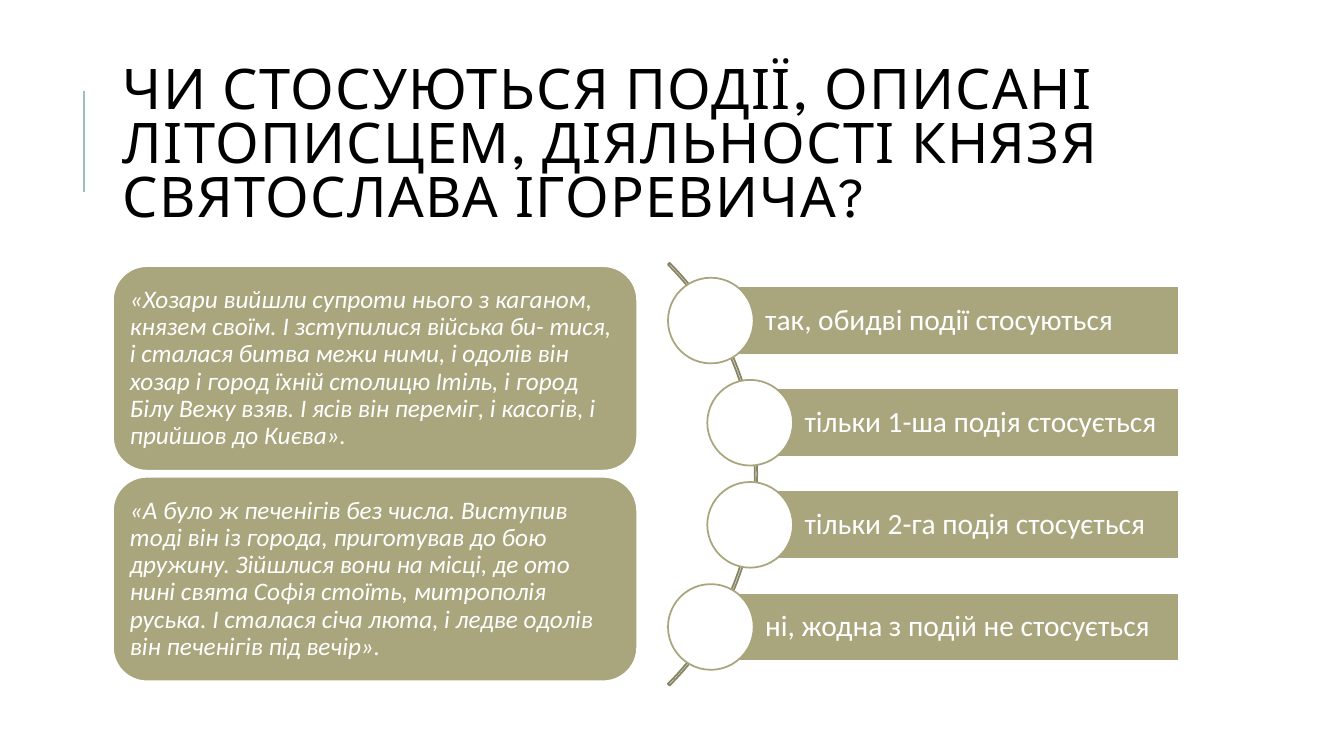
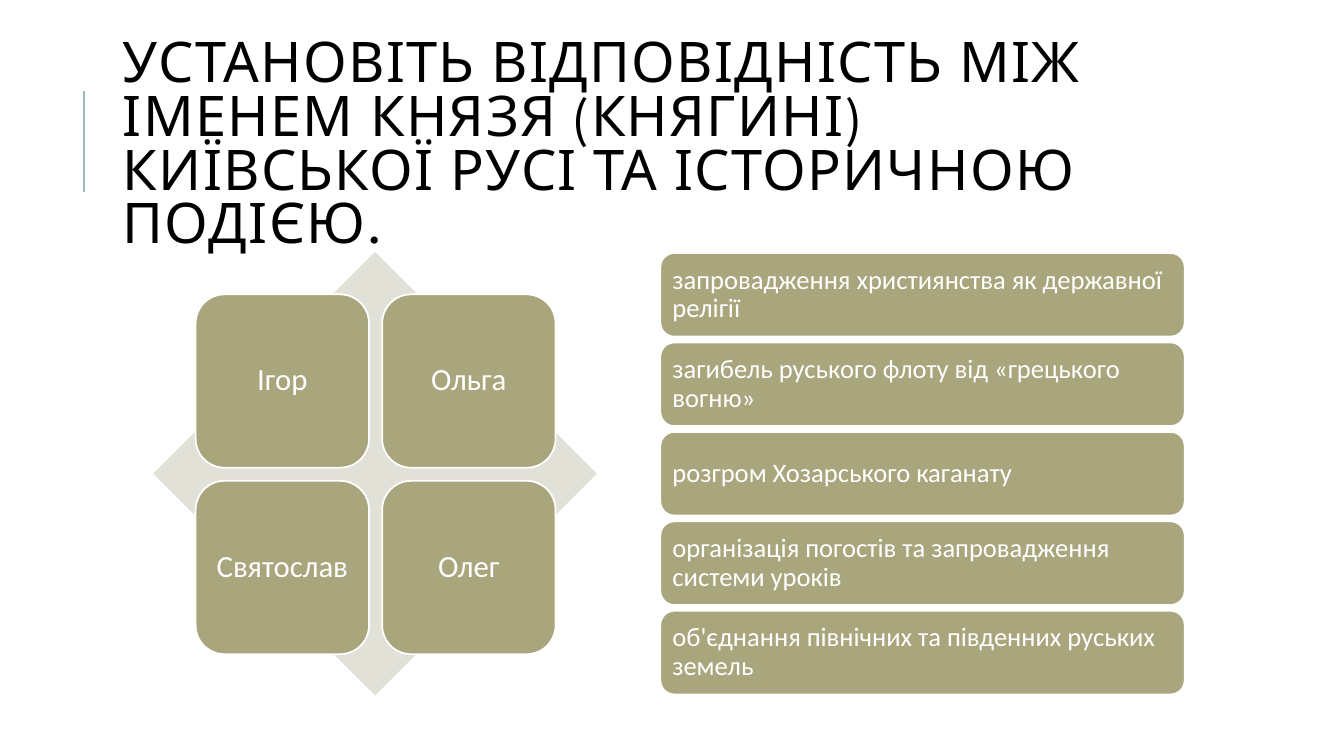
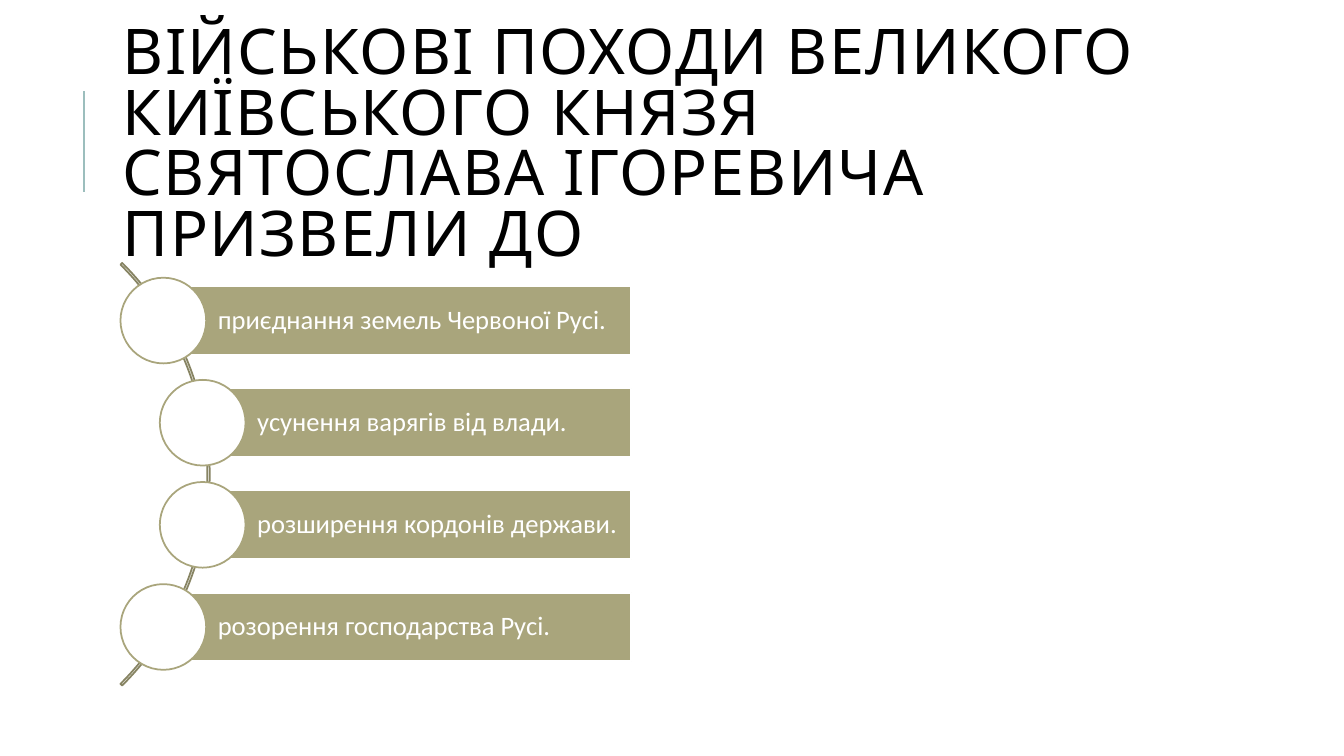
"""Build three history quiz slides about the princes of Kyivan Rus."""

from dataclasses import dataclass
from typing import Optional

from lxml.etree import SubElement
from pptx import Presentation
from pptx.dml.color import RGBColor
from pptx.enum.shapes import MSO_CONNECTOR as Connector
from pptx.enum.shapes import MSO_SHAPE as Shape
from pptx.enum.text import MSO_ANCHOR as Anchor
from pptx.enum.text import PP_ALIGN as Align
from pptx.oxml.ns import qn
from pptx.util import Inches, Pt


@dataclass(frozen=True)
class Theme:
    olive: RGBColor = RGBColor(0xA9, 0xA5, 0x7C)
    dark_olive: RGBColor = RGBColor(0x87, 0x84, 0x63)
    pale_olive: RGBColor = RGBColor(0xE2, 0xE1, 0xD7)
    teal: RGBColor = RGBColor(0x9C, 0xBE, 0xBD)
    white: RGBColor = RGBColor(0xFF, 0xFF, 0xFF)
    black: RGBColor = RGBColor(0, 0, 0)
    title_font: str = "League Spartan"
    body_font: str = "Calibri"
    title_size: int = 40
    large_title_size: int = 45
    quote_size: int = 18
    event_size: int = 19
    answer_size: int = 21
    small_answer_size: int = 19
    name_size: int = 22
    outline: float = 1.25
    accent: float = 1.5


THEME = Theme()


@dataclass(frozen=True)
class Box:
    left: float
    top: float
    width: float
    height: float

    def lengths(self) -> tuple:
        return tuple(Inches(v) for v in (self.left, self.top, self.width, self.height))


@dataclass(frozen=True)
class Label:
    text: str
    size: int
    inset: float
    left_inset: Optional[float] = None
    align: Align = Align.LEFT
    italic: bool = False


def spread(first: float, last: float, count: int) -> list[float]:
    return [first + (last - first) * i / (count - 1) for i in range(count)]


def write_text(shape, label: Label, font_name: str, color: RGBColor, spacing: float):
    frame = shape.text_frame
    frame.word_wrap = True
    frame.vertical_anchor = Anchor.MIDDLE
    frame.text = label.text
    paragraph = frame.paragraphs[0]
    paragraph.alignment = label.align
    paragraph.line_spacing = spacing
    run = paragraph.runs[0]
    run.font.name = font_name
    run.font.size = Pt(label.size)
    run.font.italic = label.italic
    run.font.color.rgb = color
    return run


def draw_shape(slide, kind: Shape, box: Box, fill: Optional[RGBColor],
               line: Optional[RGBColor]):
    shape = slide.shapes.add_shape(kind, *box.lengths())
    shape.shadow.inherit = False
    if fill is None:
        shape.fill.background()
    else:
        shape.fill.solid()
        shape.fill.fore_color.rgb = fill
    if line is None:
        shape.line.fill.background()
    else:
        shape.line.color.rgb = line
        shape.line.width = Pt(THEME.outline)
    return shape


def draw_card(slide, kind: Shape, box: Box, label: Label) -> None:
    card = draw_shape(slide, kind, box, THEME.olive, THEME.white)
    write_text(card, label, THEME.body_font, THEME.white, 0.9)
    frame = card.text_frame
    frame.margin_top = frame.margin_right = frame.margin_bottom = Inches(label.inset)
    left_inset = label.inset if label.left_inset is None else label.left_inset
    frame.margin_left = Inches(left_inset)


def add_titled_slide(presentation, title: str, size: int):
    slide = presentation.slides.add_slide(presentation.slide_layouts[6])
    accent = slide.shapes.add_connector(
        Connector.STRAIGHT, Inches(0.83), Inches(1.9), Inches(0.83), Inches(0.9))
    accent.line.color.rgb = THEME.teal
    accent.line.width = Pt(THEME.accent)
    SubElement(accent._element.spPr, qn("a:effectLst"))
    title_box = slide.shapes.add_textbox(*Box(1.12, 0.64, 10.63, 1.64).lengths())
    run = write_text(title_box, Label(title, size, 0), THEME.title_font, THEME.black, 0.8)
    run._r.get_or_add_rPr().set("spc", "100")
    return slide


def draw_answer_arc(slide, left: float, answers: list[str], size: int,
                    inset: float) -> None:
    arc_size, circle, bar_height, right = 5.93, 0.85, 0.68, left + 5.06
    arc_box = Box(left + 0.88 - arc_size, 1.74, arc_size, arc_size)
    arc = draw_shape(slide, Shape.BLOCK_ARC, arc_box, None, THEME.dark_olive)
    for index, value in enumerate((189, 27, 0.004)):
        arc.adjustments[index] = value
    last = len(answers) - 1
    for index, (answer, top) in enumerate(zip(answers, spread(2.84, 5.88, len(answers)))):
        bar_left = left + (0.42 if index in (0, last) else 0.81)
        draw_card(slide, Shape.RECTANGLE, Box(bar_left, top, right - bar_left, bar_height),
                  Label(answer, size, inset, left_inset=0.54))
        circle_box = Box(bar_left - circle / 2, top + (bar_height - circle) / 2,
                         circle, circle)
        draw_shape(slide, Shape.OVAL, circle_box, THEME.white, THEME.olive)


def draw_card_column(slide, first: Box, last_top: float, labels: list[Label]) -> None:
    for label, top in zip(labels, spread(first.top, last_top, len(labels))):
        draw_card(slide, Shape.ROUNDED_RECTANGLE,
                  Box(first.left, top, first.width, first.height), label)


def draw_name_grid(slide, names: list[str]) -> None:
    draw_shape(slide, Shape.DIAMOND, Box(1.52, 2.5, 4.4, 4.4), THEME.pale_olive, None)
    side, pitch = 1.72, 1.85
    for index, name in enumerate(names):
        row, column = divmod(index, 2)
        draw_card(slide, Shape.ROUNDED_RECTANGLE,
                  Box(1.94 + column * pitch, 2.92 + row * pitch, side, side),
                  Label(name, THEME.name_size, 0.09, align=Align.CENTER))


def build_chronicle_slide(presentation) -> None:
    slide = add_titled_slide(
        presentation,
        "ЧИ СТОСУЮТЬСЯ ПОДІЇ, ОПИСАНІ ЛІТОПИСЦЕМ, ДІЯЛЬНОСТІ КНЯЗЯ "
        "СВЯТОСЛАВА ІГОРЕВИЧА?", THEME.title_size)
    quotes = [
        "«Хозари вийшли супроти нього з каганом, князем своїм. І зступилися "
        "війська би- тися, і сталася битва межи ними, і одолів він хозар і город "
        "їхній столицю Ітіль, і город Білу Вежу взяв. І ясів він переміг, і "
        "касогів, і прийшов до Києва».",
        "«А було ж печенігів без числа. Виступив тоді він із города, приготував "
        "до бою дружину. Зійшлися вони на місці, де ото нині свята Софія стоїть, "
        "митрополія руська. І сталася січа люта, і ледве одолів він печенігів "
        "під вечір».",
    ]
    draw_card_column(slide, Box(1.12, 2.64, 5.2, 2.03), 4.73,
                     [Label(quote, THEME.quote_size, 0.07, italic=True)
                      for quote in quotes])
    draw_answer_arc(slide, 6.63, [
        "так, обидві події стосуються",
        "тільки 1-ша подія стосується",
        "тільки 2-га подія стосується",
        "ні, жодна з подій не стосується",
    ], THEME.answer_size, 0.06)


def build_matching_slide(presentation) -> None:
    slide = add_titled_slide(
        presentation,
        "УСТАНОВІТЬ ВІДПОВІДНІСТЬ МІЖ ІМЕНЕМ КНЯЗЯ (КНЯГИНІ) КИЇВСЬКОЇ РУСІ "
        "ТА ІСТОРИЧНОЮ ПОДІЄЮ.", THEME.title_size)
    draw_name_grid(slide, ["Ігор", "Ольга", "Святослав", "Олег"])
    events = [
        "запровадження християнства як державної релігії",
        "загибель руського флоту від «грецького вогню»",
        "розгром Хозарського каганату",
        "організація погостів та запровадження системи уроків",
        "об'єднання північних та південних руських земель",
    ]
    draw_card_column(slide, Box(6.55, 2.51, 5.2, 0.83), 6.06,
                     [Label(event, THEME.event_size, 0.08) for event in events])


def build_campaigns_slide(presentation) -> None:
    slide = add_titled_slide(
        presentation,
        "ВІЙСЬКОВІ ПОХОДИ ВЕЛИКОГО КИЇВСЬКОГО КНЯЗЯ СВЯТОСЛАВА ІГОРЕВИЧА "
        "ПРИЗВЕЛИ ДО", THEME.large_title_size)
    draw_answer_arc(slide, 1.2, [
        "приєднання земель Червоної Русі.",
        "усунення варягів від влади.",
        "розширення кордонів держави.",
        "розорення господарства Русі.",
    ], THEME.small_answer_size, 0.05)


def main() -> None:
    presentation = Presentation()
    presentation.slide_width = Inches(13.33)
    presentation.slide_height = Inches(7.5)
    build_chronicle_slide(presentation)
    build_matching_slide(presentation)
    build_campaigns_slide(presentation)
    presentation.save("out.pptx")


if __name__ == "__main__":
    main()
